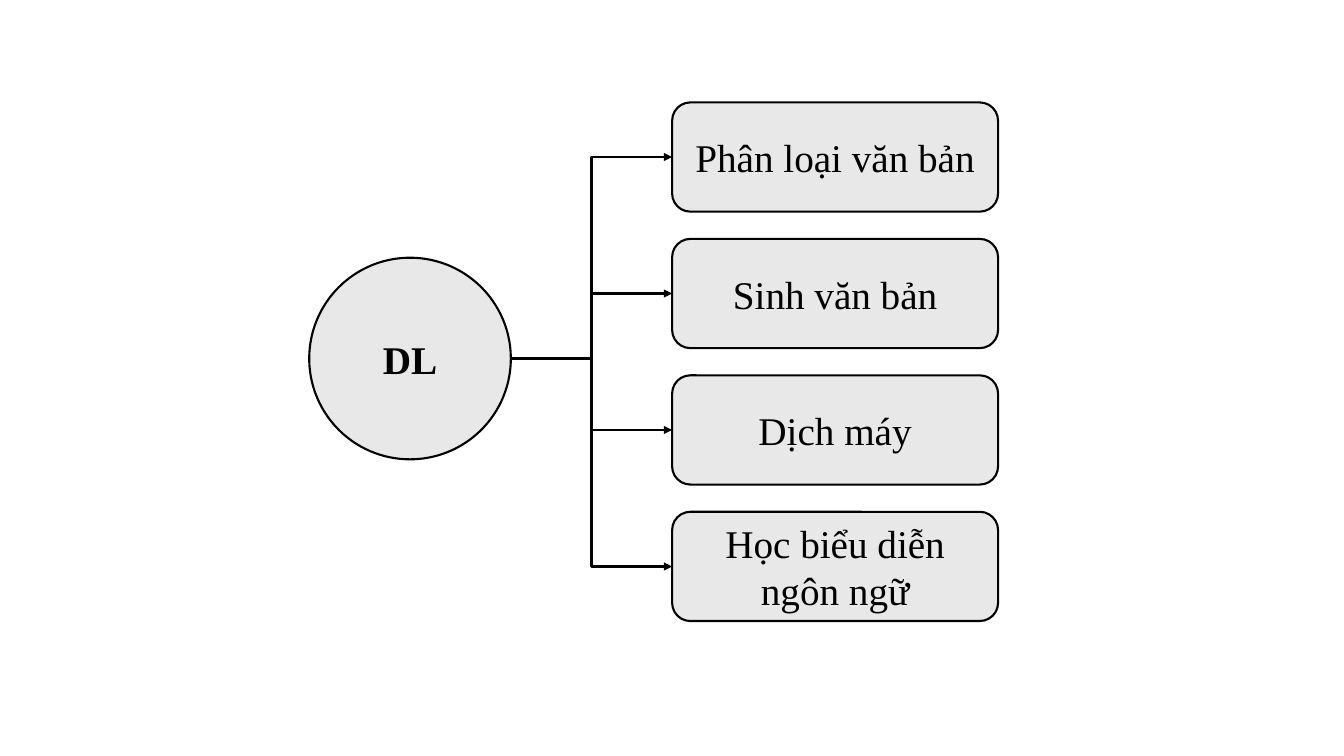
from lxml.etree import SubElement
from pptx import Presentation
from pptx.dml.color import RGBColor
from pptx.enum.shapes import MSO_CONNECTOR as CONN, MSO_SHAPE as SHAPE
from pptx.enum.text import MSO_ANCHOR as ANCHOR, PP_ALIGN as ALIGN
from pptx.oxml.ns import qn
from pptx.util import Pt

COLORS = {"fill": "E8E8E8", "line": "000000", "text": "000000"}
FONT = {"name": "Times New Roman", "size": Pt(28)}
LINE_WIDTH = 1.5
TASKS = ["Phân loại văn bản", "Sinh văn bản", "Dịch máy", "Học biểu diễn ngôn ngữ"]


def color(name):
    return RGBColor.from_string(COLORS[name])


def set_line(sp):
    sp.line.color.rgb = color("line")
    sp.line.width = Pt(LINE_WIDTH)


def add_node(slide, kind, box, text, bold=False):
    sp = slide.shapes.add_shape(kind, *map(Pt, box))
    sp.shadow.inherit = False
    sp.fill.solid()
    sp.fill.fore_color.rgb = color("fill")
    set_line(sp)
    tf = sp.text_frame
    tf.word_wrap = True
    tf.vertical_anchor = ANCHOR.MIDDLE
    p = tf.paragraphs[0]
    p.alignment = ALIGN.CENTER
    r = p.add_run()
    r.text = text
    for key, value in {**FONT, "bold": bold}.items():
        setattr(r.font, key, value)
    r.font.color.rgb = color("text")
    return sp


def add_arrow(slide, source, target):
    start_x = source.left + source.width
    start_y = source.top + source.height // 2
    end_y = target.top + target.height // 2
    arrow = slide.shapes.add_connector(CONN.ELBOW, start_x, start_y, target.left, end_y)
    arrow.end_connect(target, 1)
    set_line(arrow)
    SubElement(arrow.line._get_or_add_ln(), qn("a:tailEnd"), type="triangle")
    SubElement(arrow._element.spPr, qn("a:effectLst"))


def add_task_tree(slide, left, top, width, height):
    # Root circle
    size = 144
    root = add_node(slide, SHAPE.OVAL, (left, top + 110.9, size, size), "DL", bold=True)

    # Task boxes, evenly spaced along the right edge
    box_w, box_h = 232.8, 78
    pitch = (height - box_h) / (len(TASKS) - 1)
    boxes = [
        add_node(slide, SHAPE.ROUNDED_RECTANGLE,
                 (left + width - box_w, top + i * pitch, box_w, box_h), task)
        for i, task in enumerate(TASKS)
    ]

    # Branches from the circle to each task
    for box in boxes:
        add_arrow(slide, root, box)


def main():
    prs = Presentation()
    prs.slide_width, prs.slide_height = Pt(960), Pt(540)
    slide = prs.slides.add_slide(prs.slide_layouts[6])
    add_task_tree(slide, 220.9, 73.2, 492, 370.4)
    prs.save("out.pptx")


if __name__ == "__main__":
    main()
